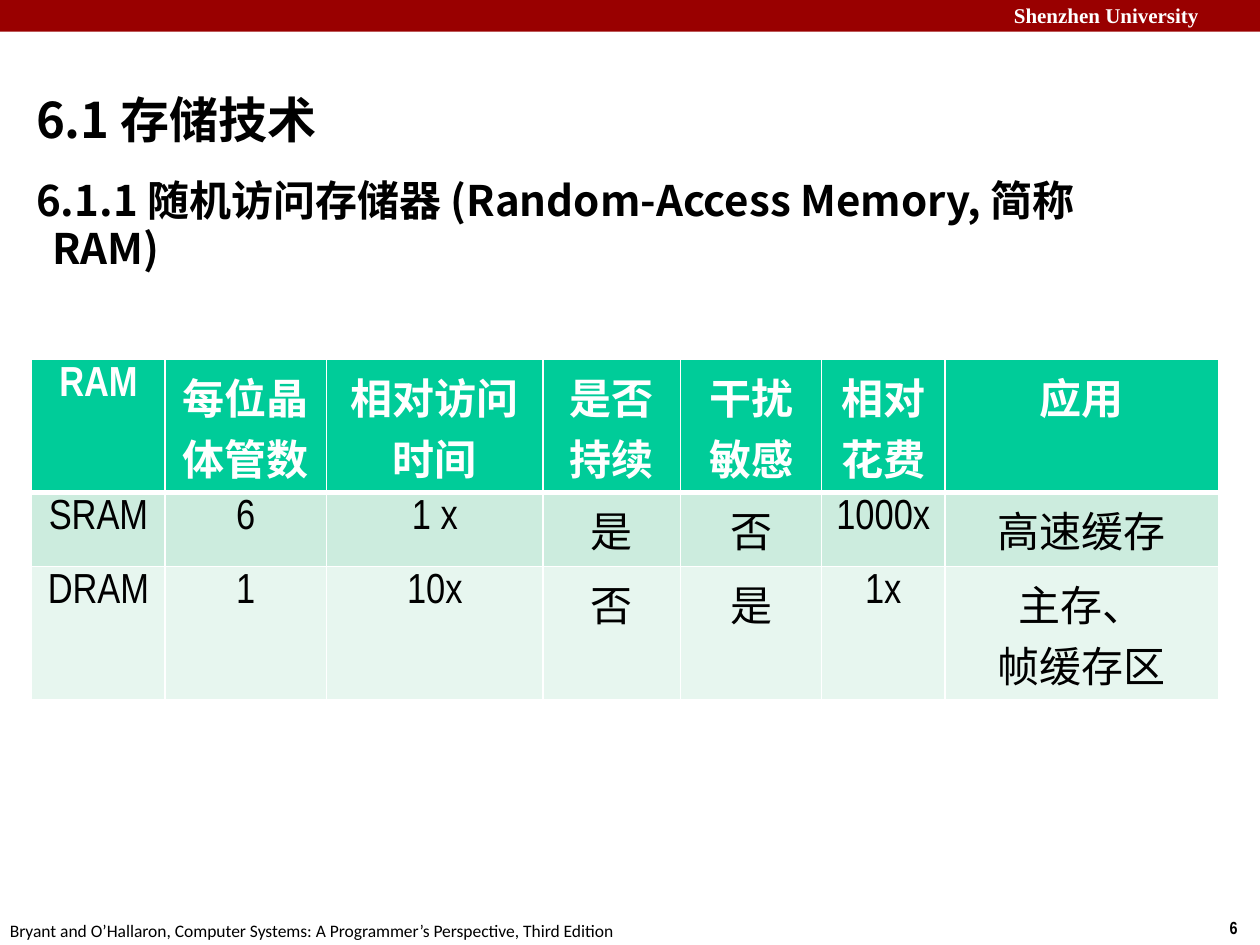
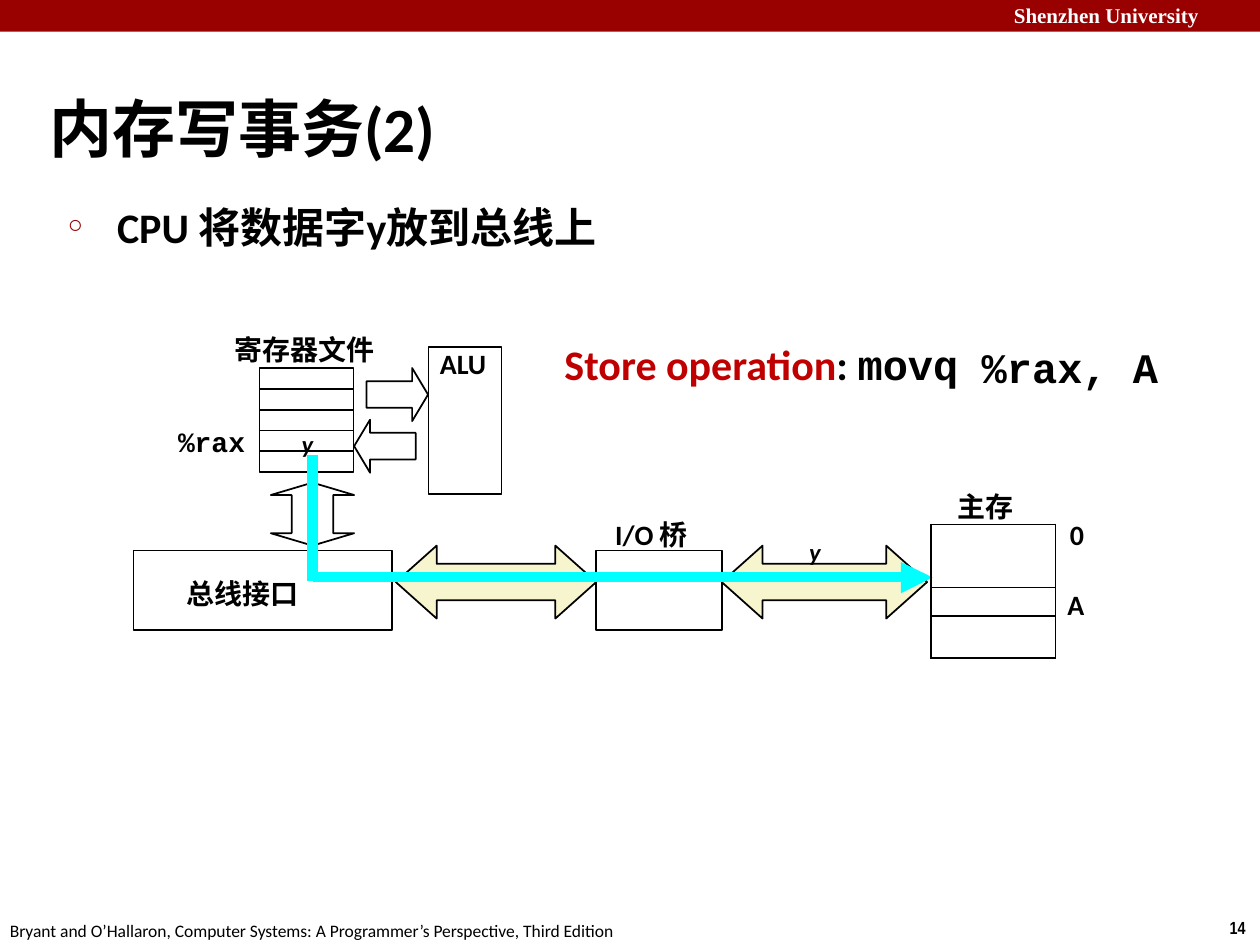
from lxml import etree
from pptx import Presentation
from pptx.dml.color import RGBColor
from pptx.enum.shapes import MSO_CONNECTOR, MSO_SHAPE
from pptx.enum.text import MSO_ANCHOR, MSO_AUTO_SIZE, PP_ALIGN
from pptx.oxml.ns import qn
from pptx.util import Cm, Pt

RECTANGLE = MSO_SHAPE.RECTANGLE
RIGHT_ARROW = MSO_SHAPE.RIGHT_ARROW
LEFT_ARROW = MSO_SHAPE.LEFT_ARROW
LEFT_RIGHT_ARROW = MSO_SHAPE.LEFT_RIGHT_ARROW
STRAIGHT = MSO_CONNECTOR.STRAIGHT
TOP, MIDDLE = MSO_ANCHOR.TOP, MSO_ANCHOR.MIDDLE
LEFT, CENTER = PP_ALIGN.LEFT, PP_ALIGN.CENTER
GROW = MSO_AUTO_SIZE.SHAPE_TO_FIT_TEXT

BLACK, WHITE, RED, STORE_RED = "000000", "FFFFFF", "990000", "C00000"
GREEN, PALE_GREEN, PALEST_GREEN = "00CC99", "CCECDE", "E7F6EF"
CREAM, CYAN = "F7F5CD", "00FFFF"
CJK, LATIN, NARROW = "Noto Sans CJK SC", "Calibri", "Arial Narrow"
CODE, SERIF = "Courier New", "Times New Roman"

DEFAULT_MARGINS = (0.25, 0.13, 0.25, 0.13)
LABEL_MARGINS = (0.03, 0, 0, 0)
NO_MARGINS = (0, 0, 0, 0)
SIDES = ("left", "top", "right", "bottom")
BORDER_TAGS = ("a:lnL", "a:lnR", "a:lnT", "a:lnB")


def color(value):
    return RGBColor.from_string(value)


def set_attributes(target, values):
    for name, value in values.items():
        setattr(target, name, value)


def set_margins(target, margins):
    set_attributes(target, {f"margin_{side}": Cm(margin)
                            for side, margin in zip(SIDES, margins)})


def set_indent(paragraph, left, first):
    properties = paragraph._p.get_or_add_pPr()
    properties.set("marL", str(Cm(left)))
    properties.set("indent", str(Cm(first)))
    return properties


def set_borders(cell, value, widths):
    """Draw the left, right, top and bottom borders with the given point widths."""
    properties = cell._tc.get_or_add_tcPr()
    for position, (tag, width) in enumerate(zip(BORDER_TAGS, widths)):
        line = etree.Element(qn(tag), w=str(Pt(width)))
        fill = etree.SubElement(line, qn("a:solidFill"))
        etree.SubElement(fill, qn("a:srgbClr"), val=value)
        properties.insert(position, line)


class Deck:
    """Holds the shared style and the slide being filled."""

    def __init__(self):
        self.presentation = Presentation()
        set_attributes(self.presentation,
                       {"slide_width": Cm(25.4), "slide_height": Cm(19.05)})
        self.slide = None

    def new_slide(self, number):
        layout = self.presentation.slide_layouts[6]
        self.slide = self.presentation.slides.add_slide(layout)
        self.shape(RECTANGLE, (0, 0, 25.4, 0.64), fill=RED, line=None)
        self.text("Shenzhen University", (20.19, -0.08, 5.2, 0.76), 12, SERIF,
                  value=WHITE, margins=DEFAULT_MARGINS)
        footers = (
            (str(number), (24.54, 18.36, 0.86, 0.69), NARROW, True),
            ("Bryant and O’Hallaron, Computer Systems: "
             "A Programmer’s Perspective, Third Edition",
             (-0.05, 18.42, 12.93, 0.69), LATIN, False),
        )
        for text, box, font, bold in footers:
            footer = self.text(text, box, 10, font, bold=bold,
                               margins=DEFAULT_MARGINS)
            set_attributes(footer.text_frame,
                           {"word_wrap": False, "auto_size": GROW})

    def run(self, paragraph, text, size, font, value=BLACK, bold=True, italic=False):
        run = paragraph.add_run()
        run.text = text
        set_attributes(run.font, {"size": Pt(size), "name": font,
                                  "bold": bold, "italic": italic})
        run.font.color.rgb = color(value)
        latin = run._r.rPr.find(qn("a:latin"))
        latin.addnext(etree.Element(qn("a:ea"), typeface=CJK))

    def text(self, text, box, size, font=LATIN, value=BLACK, bold=True,
             italic=False, margins=LABEL_MARGINS, anchor=TOP):
        shape = self.slide.shapes.add_textbox(*map(Cm, box))
        frame = shape.text_frame
        set_attributes(frame, {"word_wrap": True, "vertical_anchor": anchor})
        set_margins(frame, margins)
        self.run(frame.paragraphs[0], text, size, font, value, bold, italic)
        return shape

    def heading(self, text, box, size, spacing=1.0):
        """A section heading with a hanging indent."""
        shape = self.text(text, box, size, CJK, margins=DEFAULT_MARGINS,
                          anchor=MIDDLE)
        paragraph = shape.text_frame.paragraphs[0]
        set_indent(paragraph, 0.33, -0.33)
        paragraph.line_spacing = spacing

    def bullet(self, text, box):
        shape = self.text(text, box, 24, margins=NO_MARGINS)
        properties = set_indent(shape.text_frame.paragraphs[0], 1.04, -0.99)
        bullet_color = etree.SubElement(properties, qn("a:buClr"))
        etree.SubElement(bullet_color, qn("a:srgbClr"), val=RED)
        etree.SubElement(properties, qn("a:buSzPct"), val="60000")
        etree.SubElement(properties, qn("a:buFont"), typeface=CODE)
        etree.SubElement(properties, qn("a:buChar"), char="○")

    def paint(self, shape, fill, line):
        shape.shadow.inherit = False
        if fill:
            shape.fill.solid()
            shape.fill.fore_color.rgb = color(fill)
        else:
            shape.fill.background()
        if line:
            shape.line.color.rgb = color(line)
            shape.line.width = Pt(1)
        else:
            shape.line.fill.background()

    def shape(self, kind, box, fill=None, line=BLACK, adjustments=()):
        shape = self.slide.shapes.add_shape(kind, *map(Cm, box))
        self.paint(shape, fill, line)
        for index, adjustment in enumerate(adjustments):
            shape.adjustments[index] = adjustment
        return shape

    def polygon(self, points, fill=None, line=None):
        start, *others = [(Cm(x), Cm(y)) for x, y in points]
        builder = self.slide.shapes.build_freeform(*start)
        builder.add_line_segments(others, close=True)
        self.paint(builder.convert_to_shape(), fill, line)

    def line(self, start, end, value, width):
        connector = self.slide.shapes.add_connector(STRAIGHT, *map(Cm, start + end))
        connector.line.color.rgb = color(value)
        connector.line.width = Pt(width)
        etree.SubElement(connector._element.spPr, qn("a:effectLst"))

    def table(self, left, top, widths, heights):
        box = (left, top, sum(widths), sum(heights))
        frame = self.slide.shapes.add_table(len(heights), len(widths), *map(Cm, box))
        table = frame.table
        set_attributes(table, {"first_row": False, "horz_banding": False})
        for column, width in zip(table.columns, widths):
            column.width = Cm(width)
        for row, height in zip(table.rows, heights):
            row.height = Cm(height)
        return table

    def text_table(self, left, top, widths, heights, rows, fills):
        table = self.table(left, top, widths, heights)
        for row_index, (row, fill) in enumerate(zip(rows, fills)):
            header = row_index == 0
            edges = (1, 1, 3 if row_index == 1 else 1, 3 if header else 1)
            for column_index, text in enumerate(row):
                cell = table.cell(row_index, column_index)
                cell.fill.solid()
                cell.fill.fore_color.rgb = color(fill)
                set_borders(cell, WHITE, edges)
                frame = cell.text_frame
                for line_index, line in enumerate(text.split("\n")):
                    paragraph = (frame.add_paragraph() if line_index
                                 else frame.paragraphs[0])
                    paragraph.alignment = CENTER
                    self.run(paragraph, line, 24, NARROW,
                             WHITE if header else BLACK, header)

    def empty_table(self, left, top, widths, heights):
        """An outlined grid whose tiny empty text keeps the rows low."""
        table = self.table(left, top, widths, heights)
        for cell in table.iter_cells():
            cell.fill.background()
            set_margins(cell, NO_MARGINS)
            set_borders(cell, BLACK, (1, 1, 1, 1))
            paragraph = cell.text_frame.paragraphs[0]
            etree.SubElement(paragraph._p, qn("a:endParaRPr"), sz="600")


def add_ram_slide(deck):
    deck.new_slide(6)
    deck.heading("6.1.1 随机访问存储器 (Random-Access Memory, 简称RAM)",
                 (0.48, 3.48, 23.16, 2.16), 24, spacing=0.95)
    deck.heading("6.1 存储技术", (0.48, 1.35, 21.08, 2.11), 28)
    rows = (
        ("RAM", "每位晶体管数", "相对访问时间", "是否持续", "干扰敏感", "相对花费", "应用"),
        ("SRAM", "6", "1 x", "是", "否", "1000x", "高速缓存"),
        ("DRAM", "1", "10x", "否", "是", "1x", "主存、\n帧缓存区"),
    )
    deck.text_table(0.64, 7.24, (2.69, 3.25, 4.37, 2.77, 2.84, 2.49, 5.51),
                    (2.69, 1.49, 2.69), rows, (GREEN, PALE_GREEN, PALEST_GREEN))


def add_write_slide(deck):
    deck.new_slide(14)
    deck.text("内存写事务(2)", (0.99, 1.19, 21.08, 2.16), 36,
              margins=(0, 0.61, 0, 0), anchor=MIDDLE)
    deck.bullet("CPU 将数据字y放到总线上", (1.32, 4.06, 13.44, 1.02))

    for left, width in ((14.55, 4.14), (7.98, 4.04)):
        deck.shape(LEFT_RIGHT_ARROW, (left, 11, width, 1.47), CREAM,
                   adjustments=(0.5, 0.56))
    bridge, bus_interface = (12.01, 11.1, 2.54, 1.6), (2.69, 11.1, 5.21, 1.6)
    registers = [(5.23, 7.42 + 0.42 * index, 1.9, 0.42) for index in range(5)]
    for box in (bridge, bus_interface, *registers):
        deck.shape(RECTANGLE, box)
    for kind, box in ((RIGHT_ARROW, (7.39, 7.42, 1.24, 1.07)),
                      (LEFT_ARROW, (7.14, 8.46, 1.24, 1.07))):
        deck.shape(kind, box, adjustments=(0.5, 0.3))
    deck.polygon(((5.46, 9.98), (6.3, 9.73), (7.14, 9.98), (6.72, 9.98),
                  (6.72, 10.75), (7.14, 10.75), (6.3, 11), (5.46, 10.75),
                  (5.88, 10.75), (5.88, 9.98)), line=BLACK)

    for box in ((6.05, 8.64, 0.3, 0.56), (16.28, 10.82, 0.3, 0.56)):
        deck.text("y", box, 14, italic=True)
    deck.line((6.3, 9.17), (6.3, 11.71), CYAN, 6)
    deck.line((6.3, 11.63), (18.26, 11.63), CYAN, 6)
    deck.polygon(((18.16, 11.33), (18.16, 11.96), (18.8, 11.64)), fill=CYAN)

    alu = deck.shape(RECTANGLE, (8.64, 6.99, 1.47, 2.97))
    alu.text_frame.vertical_anchor = TOP
    set_margins(alu.text_frame, (0.23, 0, 0, 0))
    alu_paragraph = alu.text_frame.paragraphs[0]
    alu_paragraph.alignment = LEFT
    deck.run(alu_paragraph, "ALU", 16, LATIN)
    deck.empty_table(18.77, 10.57, (2.51,), (1.27, 0.58, 0.84))

    for text, box, size, font in (
        ("0", (21.54, 10.44, 0.36, 0.64), 16, LATIN),
        ("A", (21.49, 11.84, 0.41, 0.64), 16, LATIN),
        ("%rax", (3.56, 8.56, 1.42, 0.64), 16, CODE),
        ("%rax, A", (19.76, 6.88, 4.29, 1.02), 24, CODE),
        ("寄存器文件", (4.7, 6.71, 3.1, 0.69), 16, LATIN),
        ("总线接口", (3.73, 11.63, 3.12, 0.69), 16, LATIN),
        ("主存", (19.28, 9.86, 1.55, 0.69), 16, LATIN),
        ("I/O 桥", (12.37, 10.44, 1.83, 0.69), 16, LATIN),
    ):
        deck.text(text, box, size, font)
    operation = deck.text("Store operation", (11.35, 6.83, 8.33, 1.02), 24,
                          value=STORE_RED)
    operation_paragraph = operation.text_frame.paragraphs[0]
    deck.run(operation_paragraph, ": ", 24, LATIN)
    deck.run(operation_paragraph, "movq", 24, CODE)


def main():
    deck = Deck()
    add_ram_slide(deck)
    add_write_slide(deck)
    deck.presentation.save("out.pptx")


if __name__ == "__main__":
    main()
